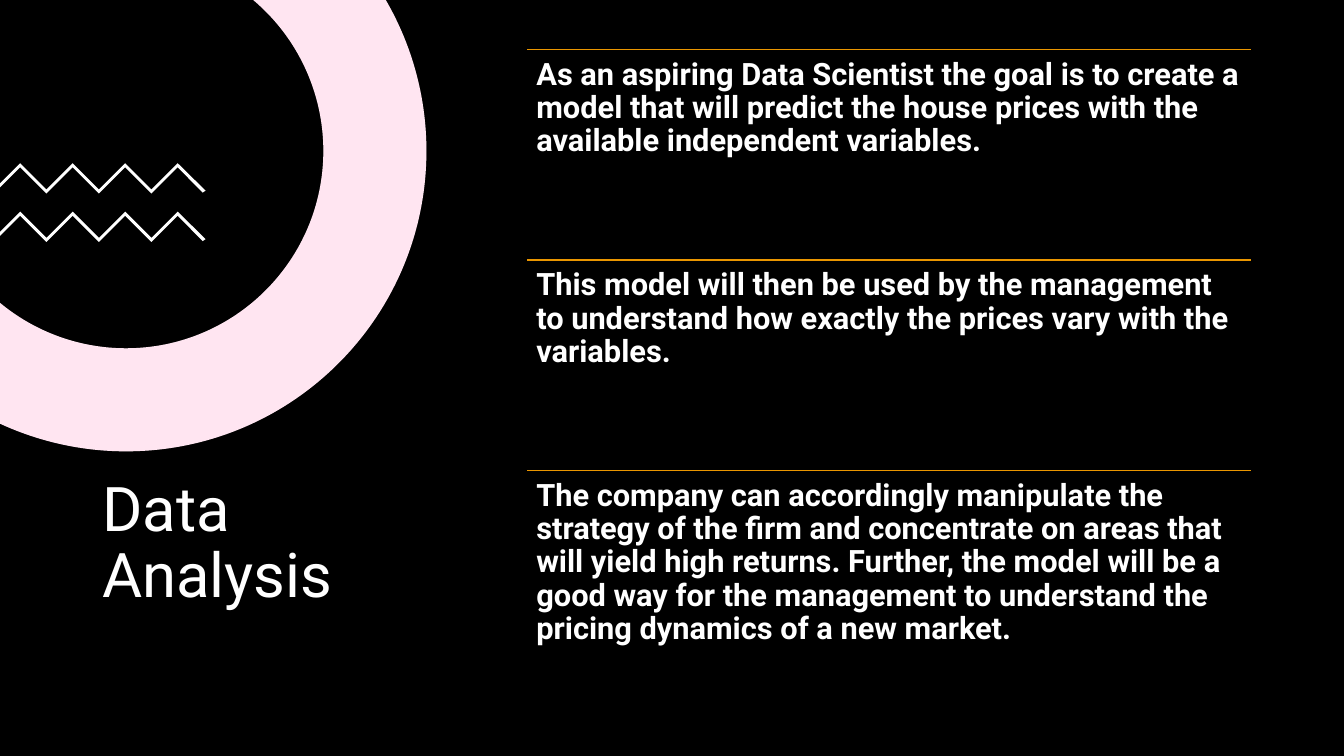
from math import acos, asin, cos, pi, sin, tan

from pptx import Presentation
from pptx.dml.color import RGBColor
from pptx.enum.shapes import MSO_CONNECTOR, MSO_SHAPE
from pptx.enum.text import MSO_ANCHOR
from pptx.oxml.ns import qn
from pptx.util import Pt
from lxml import etree

BLACK = RGBColor(0x00, 0x00, 0x00)
WHITE = RGBColor(0xFF, 0xFF, 0xFF)
PINK = RGBColor(0xFF, 0x80, 0xBD)
AMBER = RGBColor(0xEA, 0x96, 0x00)

RECTANGLE = MSO_SHAPE.RECTANGLE
STRAIGHT = MSO_CONNECTOR.STRAIGHT
TOP, MIDDLE = MSO_ANCHOR.TOP, MSO_ANCHOR.MIDDLE

WIDTH, HEIGHT = 960, 540

GOALS = [
    "As an aspiring Data Scientist the goal is to create a model that will "
    "predict the house prices with the available independent variables.",
    "This model will then be used by the management to understand how exactly "
    "the prices vary with the variables.",
    "The company can accordingly manipulate the strategy of the firm and "
    "concentrate on areas that will yield high returns. Further, the model will "
    "be a good way for the management to understand the pricing dynamics of a "
    "new market.",
]


def arc(center_x, center_y, radius):
    """Bezier points of a circle from the slide's top edge to its left edge."""
    def point(angle, along=0):
        return (center_x + radius * (cos(angle) - along * sin(angle)),
                center_y + radius * (sin(angle) + along * cos(angle)))

    stops = [-asin(center_y / radius), 0, pi / 2, acos(-center_x / radius)]
    points = [point(stops[0])]
    for start, end in zip(stops, stops[1:]):
        handle = 4 / 3 * tan((end - start) / 4)
        points += [point(start, handle), point(end, -handle), point(end)]
    return points


def zigzag(top, first_peak=14.4, step=18.75, depth=18.75, thickness=2.9):
    """Outline of a wave that enters at the left edge and ends in a slant."""
    turns = [(first_peak + step * i, top + depth * (i % 2)) for i in range(7)]
    upper = [(0, top + first_peak)] + turns
    lower = [(x, y + thickness) for x, y in upper]
    end_x = turns[-1][0] + step
    tip = [(end_x + 1.2, top + depth + 0.9), (end_x - 0.9, top + depth + 2.3)]
    return upper + tip + lower[::-1]


class SlideBuilder:
    font = {"name": "Roboto"}

    def __init__(self, slide, text_color):
        self.slide = slide
        self.text_color = text_color

    def paint(self, shape, color):
        shape.shadow.inherit = False
        shape.fill.solid()
        shape.fill.fore_color.rgb = color
        shape.line.fill.background()

    def background(self, color):
        fill = self.slide.background.fill
        fill.solid()
        fill.fore_color.rgb = color
        self.paint(self.slide.shapes.add_shape(
            RECTANGLE, 0, 0, Pt(WIDTH), Pt(HEIGHT)), color)

    def outline(self, points, color, curve_starts=(), alpha=None):
        """Closed form; each curve start takes three points as one curve."""
        corners = [(Pt(x), Pt(y)) for x, y in points]
        builder = self.slide.shapes.build_freeform(*corners[0])
        builder.add_line_segments(corners[1:], close=True)
        form = builder.convert_to_shape()
        self.paint(form, color)
        segments = list(form._element.spPr.iter(qn("a:lnTo")))
        for start in curve_starts:
            curve = etree.Element(qn("a:cubicBezTo"))
            segments[start].addprevious(curve)
            for segment in segments[start:start + 3]:
                curve.append(segment[0])
                segment.getparent().remove(segment)
        if alpha is not None:
            tint = form._element.spPr.find(".//" + qn("a:srgbClr"))
            etree.SubElement(tint, qn("a:alpha"), val=str(alpha * 1000))

    def rule(self, left, top, width, color):
        line = self.slide.shapes.add_connector(
            STRAIGHT, Pt(left), Pt(top), Pt(left + width), Pt(top))
        line.line.color.rgb = color
        line.line.width = Pt(1)
        etree.SubElement(line._element.spPr, qn("a:effectLst"))

    def text(self, content, left, top, width, height, inset, anchor, **font):
        box = self.slide.shapes.add_textbox(
            Pt(left), Pt(top), Pt(width), Pt(height))
        frame = box.text_frame
        frame_format = {"word_wrap": True, "vertical_anchor": anchor}
        for side in ("left", "right", "top", "bottom"):
            frame_format["margin_" + side] = Pt(inset)
        for name, value in frame_format.items():
            setattr(frame, name, value)
        paragraph = frame.paragraphs[0]
        paragraph.line_spacing = 0.9
        run = paragraph.add_run()
        run.text = content
        for name, value in {**self.font, **font}.items():
            setattr(run.font, name, value)
        run.font.color.rgb = self.text_color


def main():
    deck = Presentation()
    deck.slide_width, deck.slide_height = Pt(WIDTH), Pt(HEIGHT)
    page = SlideBuilder(deck.slides.add_slide(deck.slide_layouts[6]), WHITE)
    page.background(BLACK)

    # Ring cut by the slide's corner, with two waves under its pink tint
    ring = arc(90, 107.8, 214.6) + arc(90, 107.8, 141)[::-1]
    ring_curves = (0, 3, 6, 10, 13, 16)
    page.outline(ring, WHITE, ring_curves)
    for wave_top in (116.6, 151.2):
        page.outline(zigzag(wave_top), WHITE)
    page.outline(ring, PINK, ring_curves, alpha=20)

    # Title
    page.text("Data Analysis", 66, 291.6, 252, 195, 7.2, MIDDLE, size=Pt(44))

    # Goals, each under its own rule
    left, first_top, width, pitch = 376.5, 35.3, 517.3, 150.45
    for index, goal in enumerate(GOALS):
        top = first_top + pitch * index
        page.rule(left, top, width, AMBER)
        page.text(goal, left, top, width, pitch, 6.6, TOP,
                  size=Pt(22), bold=True)

    deck.save("out.pptx")


if __name__ == "__main__":
    main()
